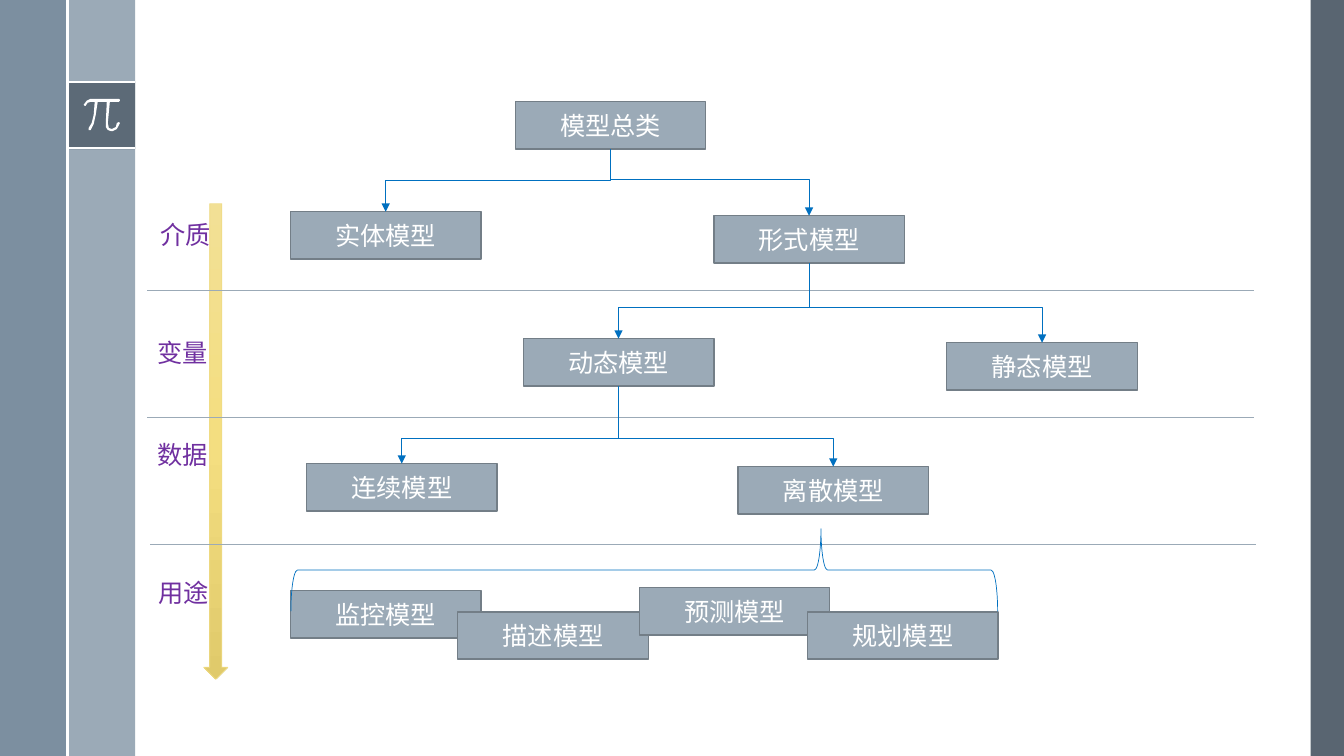
from copy import deepcopy

from lxml import etree
from pptx import Presentation
from pptx.dml.color import RGBColor
from pptx.enum.shapes import MSO_CONNECTOR, MSO_SHAPE
from pptx.enum.text import MSO_ANCHOR, MSO_AUTO_SIZE, PP_ALIGN
from pptx.oxml.ns import qn
from pptx.util import Inches, Pt

RECT, DOWN_ARROW, BRACE = MSO_SHAPE.RECTANGLE, MSO_SHAPE.DOWN_ARROW, MSO_SHAPE.RIGHT_BRACE
STRAIGHT, ELBOW = MSO_CONNECTOR.STRAIGHT, MSO_CONNECTOR.ELBOW
CENTER, MIDDLE, GROW = PP_ALIGN.CENTER, MSO_ANCHOR.MIDDLE, MSO_AUTO_SIZE.SHAPE_TO_FIT_TEXT
TOP, BOTTOM = 0, 2

WHITE = RGBColor(0xFF, 0xFF, 0xFF)
SLATE = RGBColor(0x47, 0x55, 0x62)
STEEL = RGBColor(0x6A, 0x80, 0x93)
MIST = RGBColor(0x9B, 0xAA, 0xB7)
BOX_EDGE = RGBColor(0x73, 0x7E, 0x87)
BLUE = RGBColor(0x00, 0x70, 0xC0)
PURPLE = RGBColor(0x70, 0x30, 0xA0)
GOLD_EDGE = RGBColor(0xEF, 0xDB, 0x85)
GOLDS = [RGBColor(0xF2, 0xE0, 0x95), RGBColor(0xF4, 0xDE, 0x80), RGBColor(0xE0, 0xCA, 0x6B)]

FONT = {"name": "Arial", "size": Pt(18)}
BOX_W, BOX_H = 1.89, 0.47

prs = Presentation()
prs.slide_width, prs.slide_height = Inches(13.33), Inches(7.5)
slide = prs.slides.add_slide(prs.slide_layouts[6])
shapes = slide.shapes


def add_line(kind, x1, y1, x2, y2, color, width):
    line = shapes.add_connector(kind, Inches(x1), Inches(y1), Inches(x2), Inches(y2))
    line.line.color.rgb = color
    line.line.width = Pt(width)
    etree.SubElement(line.element.spPr, qn("a:effectLst"))
    return line


def write(shape, text, color):
    paragraph = shape.text_frame.paragraphs[0]
    run = paragraph.add_run()
    run.text = text
    for name, value in FONT.items():
        setattr(run.font, name, value)
    run.font.color.rgb = color
    return paragraph


# Side bands and the pi tile
for x, y, w, h, color, opacity in [
    (13, 0, 0.33, 7.5, SLATE, 90),
    (0.67, 0, 0.67, 7.5, MIST, 100),
    (0, 0, 0.67, 7.5, STEEL, 88),
    (0.67, 0.81, 0.67, 0.67, SLATE, 75),
]:
    band = shapes.add_shape(RECT, Inches(x), Inches(y), Inches(w), Inches(h))
    band.shadow.inherit = False
    band.fill.solid()
    band.fill.fore_color.rgb = color
    band.line.fill.background()
    if opacity < 100:
        srgb = band.element.spPr.find(qn("a:solidFill")).find(qn("a:srgbClr"))
        etree.SubElement(srgb, qn("a:alpha"), val=str(opacity * 1000))

for x1, y1, x2, y2 in [(0.67, 0.81, 1.34, 0.81), (0.67, 1.47, 1.34, 1.47), (0.67, 0, 0.67, 7.5)]:
    add_line(STRAIGHT, x1, y1, x2, y2, WHITE, 1.5)

# Outline of the pi sign, in hundredths of an inch
PI_OUTLINE = [
    (118, 98), (90, 98), (86, 100), (83, 104), (84, 105), (85, 105), (87, 102), (90, 101),
    (94, 101), (93, 114), (91, 122), (88, 127), (88, 129), (90, 129), (93, 123), (95, 114),
    (97, 101), (106, 101), (105, 122), (105, 126), (107, 129), (110, 130), (112, 130),
    (116, 128), (119, 122), (118, 121), (116, 122), (115, 126), (111, 128), (108, 127),
    (107, 122), (109, 101), (118, 101), (119, 100), (119, 99),
]
builder = shapes.build_freeform(*PI_OUTLINE[0], scale=Inches(0.01))
builder.add_line_segments(PI_OUTLINE[1:], close=True)
pi_sign = builder.convert_to_shape()
pi_sign.shadow.inherit = False
pi_sign.fill.solid()
pi_sign.fill.fore_color.rgb = WHITE
pi_sign.line.fill.background()

# Criteria on the left, with the arrow and the dividers
for criterion, x, y in [("介质", 1.49, 2.13), ("变量", 1.46, 3.3), ("数据", 1.46, 4.31), ("用途", 1.47, 5.68)]:
    label = shapes.add_textbox(Inches(x), Inches(y), Inches(0.71), Inches(0.4))
    label.text_frame.word_wrap = False
    label.text_frame.auto_size = GROW
    write(label, criterion, PURPLE)

arrow = shapes.add_shape(DOWN_ARROW, Inches(2.02), Inches(2.02), Inches(0.24), Inches(4.72))
arrow.shadow.inherit = False
arrow.fill.gradient()
arrow.fill.gradient_angle = 270
stop_list = arrow.element.spPr.find(qn("a:gradFill")).find(qn("a:gsLst"))
stop_list.insert(1, deepcopy(stop_list[0]))
for stop, position, color in zip(arrow.fill.gradient_stops, (0, 0.5, 1), GOLDS):
    stop.position = position
    stop.color.rgb = color
arrow.line.color.rgb = GOLD_EDGE
arrow.line.width = Pt(0.5)

for x1, x2, y in [(1.46, 12.44, 2.88), (1.46, 12.44, 4.14), (1.49, 12.46, 5.4)]:
    add_line(STRAIGHT, x1, y, x2, y, MIST, 0.5)

# Model boxes
MODELS = {
    "模型总类": (5.11, 1.01),
    "监控模型": (2.88, 5.86),
    "描述模型": (4.54, 6.07),
    "预测模型": (6.34, 5.83),
    "规划模型": (8.01, 6.07),
    "实体模型": (2.88, 2.1),
    "形式模型": (7.08, 2.14),
    "动态模型": (5.19, 3.36),
    "静态模型": (9.39, 3.4),
    "连续模型": (3.04, 4.6),
    "离散模型": (7.32, 4.63),
}
boxes = {}
for model, (x, y) in MODELS.items():
    box = shapes.add_shape(RECT, Inches(x), Inches(y), Inches(BOX_W), Inches(BOX_H))
    box.shadow.inherit = False
    box.fill.solid()
    box.fill.fore_color.rgb = MIST
    box.line.color.rgb = BOX_EDGE
    box.line.width = Pt(1)
    box.text_frame.vertical_anchor = MIDDLE
    write(box, model, WHITE).alignment = CENTER
    boxes[model] = box

# Branches: parent, child, height of the horizontal run
for parent, child, bend_y in [
    ("模型总类", "实体模型", 1.79),
    ("模型总类", "形式模型", 1.78),
    ("形式模型", "动态模型", 3.05),
    ("形式模型", "静态模型", 3.05),
    ("动态模型", "连续模型", 4.35),
    ("动态模型", "离散模型", 4.35),
]:
    x1, y1 = MODELS[parent][0] + BOX_W / 2, MODELS[parent][1] + BOX_H
    x2, y2 = MODELS[child][0] + BOX_W / 2, MODELS[child][1]
    drop, reach = y2 - y1, abs(x2 - x1)
    branch = add_line(ELBOW, x1, y1, x2, y2, BLUE, 0.5)
    branch.begin_connect(boxes[parent], BOTTOM)
    branch.end_connect(boxes[child], TOP)
    # The elbow leaves downwards, so its frame is turned a quarter
    branch.left, branch.top = Inches((x1 + x2 - drop) / 2), Inches((y1 + y2 - reach) / 2)
    branch.width, branch.height = Inches(drop), Inches(reach)
    to_left = x2 < x1
    frame = branch.element.spPr.find(qn("a:xfrm"))
    frame.set("rot", str((90 if to_left else 270) * 60000))
    frame.set("flipH", "0" if to_left else "1")
    frame.set("flipV", "0")
    guides = branch.element.spPr.find(qn("a:prstGeom")).find(qn("a:avLst"))
    bend = round((bend_y - y1) / drop * 100000)
    etree.SubElement(guides, qn("a:gd"), name="adj1", fmla=f"val {bend}")
    outline = branch.element.spPr.find(qn("a:ln"))
    etree.SubElement(outline, qn("a:tailEnd"), type="triangle")

# Brace over the four uses
brace = shapes.add_shape(BRACE, Inches(5.98), Inches(2.15), Inches(0.82), Inches(7.01))
brace.shadow.inherit = False
brace.rotation = 270
brace.adjustments[0], brace.adjustments[1] = 0.08, 0.75
brace.fill.background()
brace.line.color.rgb = BLUE
brace.line.width = Pt(0.5)

prs.save("out.pptx")
